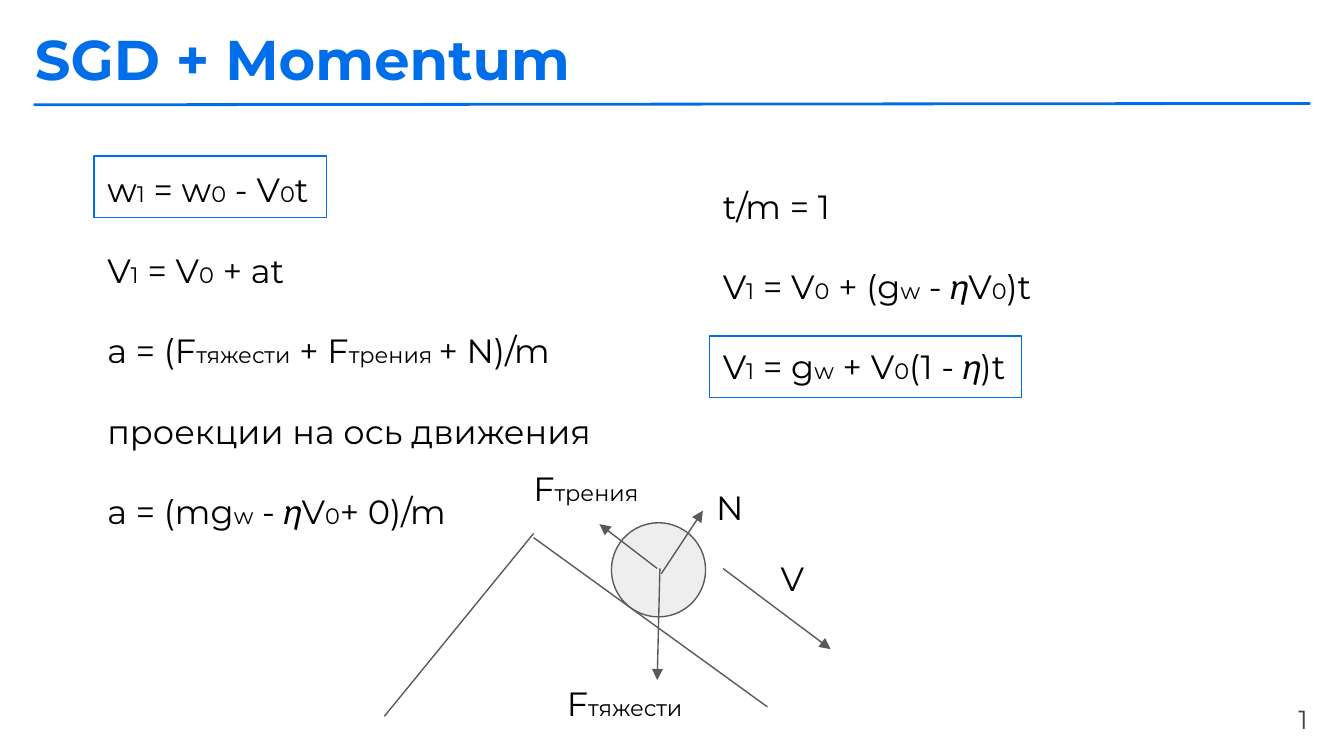
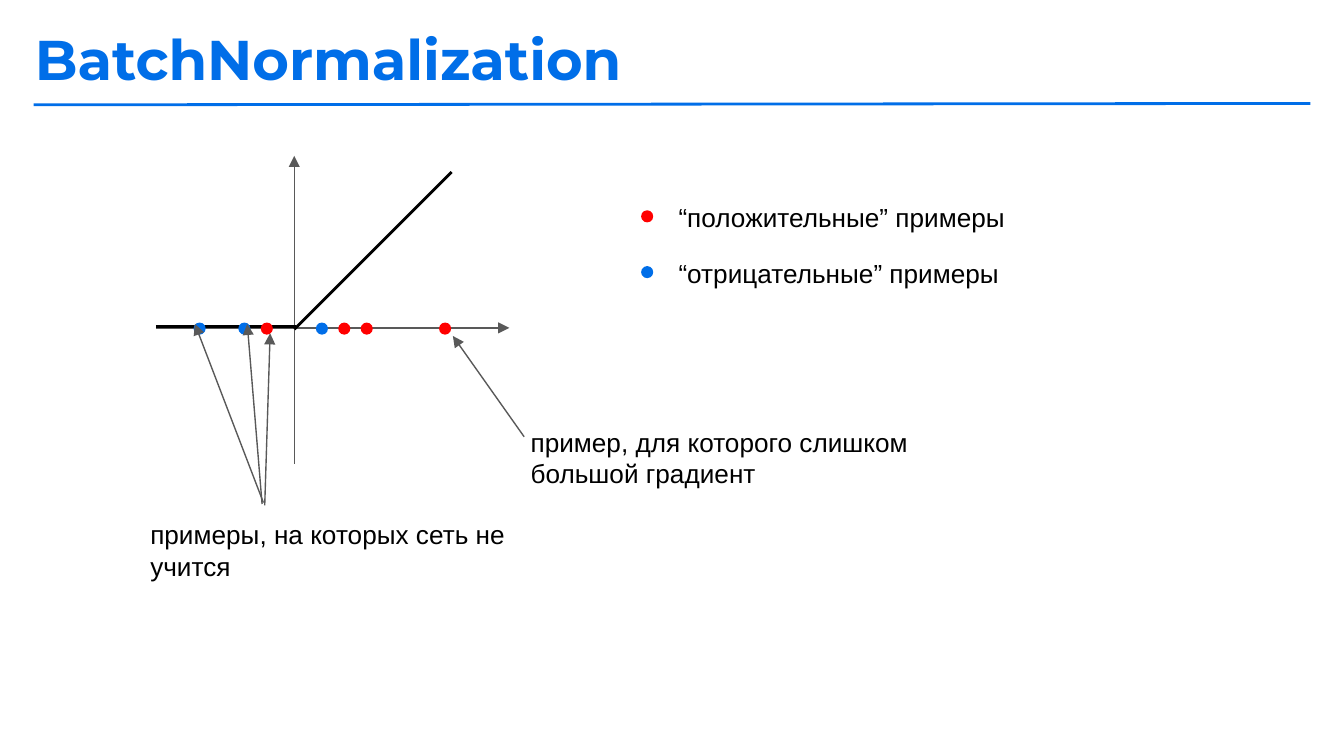
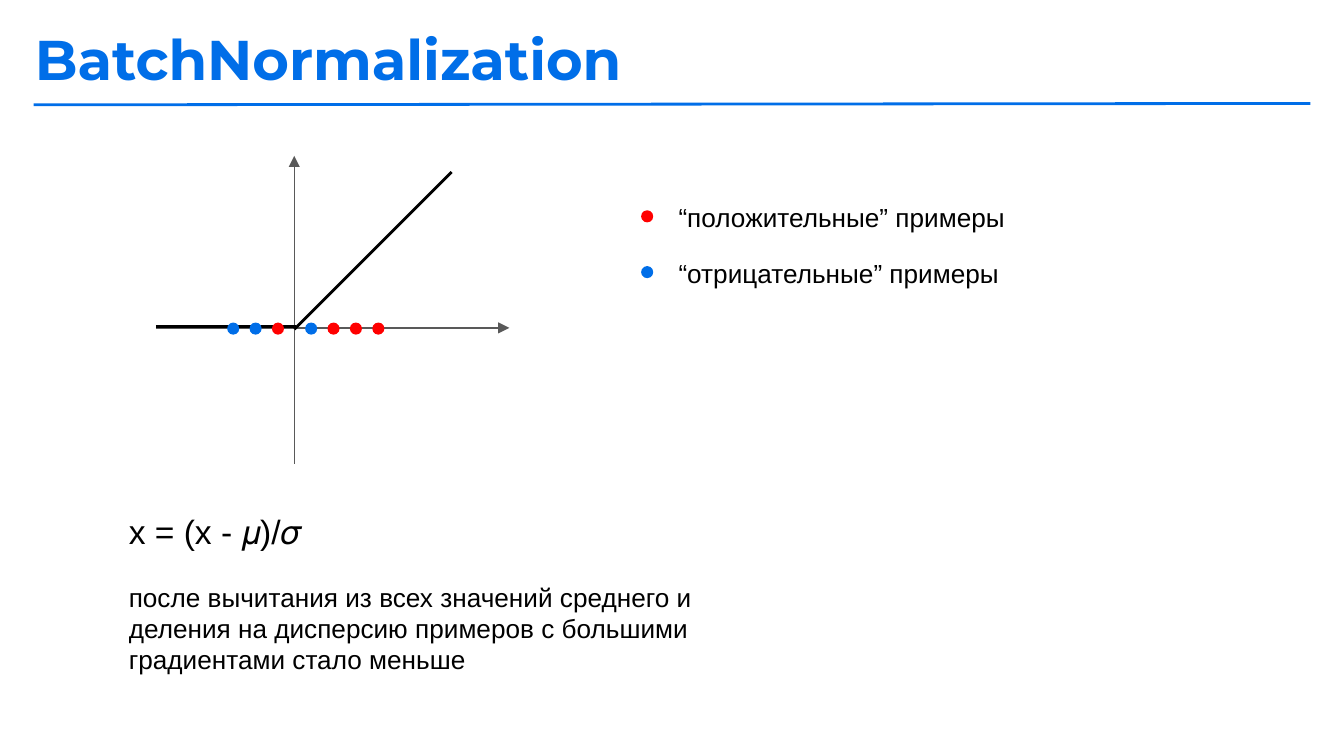
from typing import NamedTuple

from lxml import etree
from pptx import Presentation
from pptx.dml.color import RGBColor
from pptx.enum.shapes import MSO_CONNECTOR, MSO_SHAPE
from pptx.enum.text import MSO_ANCHOR, MSO_AUTO_SIZE, PP_ALIGN
from pptx.oxml.ns import qn
from pptx.util import Inches, Pt

STRAIGHT = MSO_CONNECTOR.STRAIGHT
RECTANGLE, OVAL = MSO_SHAPE.RECTANGLE, MSO_SHAPE.OVAL
LEFT, RIGHT = PP_ALIGN.LEFT, PP_ALIGN.RIGHT
TOP = MSO_ANCHOR.TOP
NO_AUTOSIZE = MSO_AUTO_SIZE.NONE

COLORS = {
    "accent": "006EE8",
    "text": "000000",
    "number": "434343",
    "ink": "595959",
    "ball": "EEEEEE",
    "positive": "FF0000",
}
HEADING_FONT, BODY_FONT = "Montserrat", "Arial"
TITLE_ONLY = 5

# The slide is a grid of square cells, 100 columns wide.
WIDTH, HEIGHT = Inches(10), Inches(5.625)
CELL = WIDTH / 100
DOT = 0.9
DOT_STEP = 5 / 3
DOT_ROW = 24


class Box(NamedTuple):
    left: float
    top: float
    width: float
    height: float


class Line(NamedTuple):
    x1: float
    y1: float
    x2: float
    y2: float
    color: str = "ink"
    weight: float = 0.75
    arrow: bool = False


class Text(NamedTuple):
    """Lines of text; parts in braces are set in the small size."""
    box: Box
    lines: tuple[str, ...]
    sizes: tuple[float, ...] = (18,)
    font: str = HEADING_FONT
    gap: float = 0
    color: str = "text"
    align: PP_ALIGN = LEFT


class DotGroup(NamedTuple):
    """Dots on the horizontal axis, counted in steps from a start column."""
    start: float
    color: str
    steps: tuple[float, ...]


TITLE_BOX = Box(1.6, 0.8, 75.1, 7)
TITLE_RULE = Line(2.5, 7.8, 97.5, 7.7, "accent", 1.5)
SUBSCRIPT_SIZE = 12
FORMULA_GAP = 21.5

FORMULAS = (
    Text(Box(7, 11.6, 39.4, 23.6), (
        "w{1} = w{0} - V{0}t",
        "V{1} = V{0} + at",
        "a = (F{тяжести} + F{трения }+ N)/m",
        "проекции на ось движения",
        "a = (mg{w} - 𝜂V{0}+ 0)/m",
    ), gap=FORMULA_GAP),
    Text(Box(52.8, 12.8, 28.7, 19), (
        "t/m = 1",
        "V{1} = V{0} + (g{w} - 𝜂V{0})t",
        "V{1} = g{w} + V{0}(1 - 𝜂)t",
    ), gap=FORMULA_GAP),
)
RESULT_FRAMES = (Box(7, 11.6, 17.3, 4.6), Box(52.8, 25, 23.2, 4.6))

SLOPES = (Line(28.6, 53.3, 39.7, 39.7), Line(39.7, 40, 57.1, 52.6))
BALL = Box(45.5, 38.9, 7, 7)
FORCES = (
    Line(53.8, 42.3, 61.8, 48.3, arrow=True),
    Line(49.2, 42.7, 52.3, 38, arrow=True),
    Line(49.1, 42.3, 48.9, 50.6, arrow=True),
    Line(48.9, 42.3, 44.6, 39, arrow=True),
)
FORCE_LABELS = (
    Text(Box(38.7, 33.8, 10.3, 6), ("F{трения}",)),
    Text(Box(41.2, 49.8, 11, 4.6), ("F{тяжести}",)),
    Text(Box(52.3, 35.2, 4.3, 4.6), ("N",)),
    Text(Box(57.1, 40.5, 4.3, 5.8), ("V",)),
)
PAGE_NUMBER = Text(Box(92.4, 51.3, 5.9, 3.9), ("1",), (14,),
                   color="number", align=RIGHT)

AXES = (Line(11.6, 24.4, 37.9, 24.4, arrow=True),
        Line(21.9, 34.5, 21.9, 11.6, arrow=True))
RELU = (Line(11.6, 24.3, 22, 24.3, "text", 1.5),
        Line(21.9, 24.5, 33.6, 12.8, "text", 1.5))
LEGEND = (("positive", "“положительные” примеры"),
          ("accent", "“отрицательные” примеры"))

DOTS_BEFORE = (
    DotGroup(14.4, "accent", (0, 2)),
    DotGroup(14.4, "positive", (3,)),
    DotGroup(23.5, "accent", (0,)),
    DotGroup(23.5, "positive", (1, 2, 5.5)),
)
DOTS_AFTER = (
    DotGroup(16.9, "accent", (0, 1)),
    DotGroup(16.9, "positive", (2,)),
    DotGroup(22.7, "accent", (0,)),
    DotGroup(22.7, "positive", (1, 2, 3)),
)
CALLOUTS = (
    Text(Box(38.5, 30.7, 34.3, 4.8),
         ("пример, для которого слишком большой градиент",), (14,), BODY_FONT),
    Text(Box(10.2, 37.6, 34.3, 4.8),
         ("примеры, на которых сеть не учится",), (14,), BODY_FONT),
)
POINTERS = (
    Line(39, 32.5, 33.7, 25, arrow=True),
    Line(19.7, 37.6, 20.1, 24.8, arrow=True),
    Line(19.5, 37.5, 18.4, 24.1, arrow=True),
    Line(19.6, 37.4, 14.5, 24.1, arrow=True),
)
NORMALIZATION = Text(Box(8.6, 37, 51.8, 5.1), (
    "x = (x - 𝜇)/𝜎",
    "после вычитания из всех значений среднего и деления на дисперсию "
    "примеров с большими градиентами стало меньше",
), (18, 14), BODY_FONT, gap=16)


def rgb(name: str) -> RGBColor:
    return RGBColor.from_string(COLORS[name])


def emu(*cells: float) -> list[int]:
    return [round(cell * CELL) for cell in cells]


def style_font(font, name: str, size: float, color: str) -> None:
    font.name = name
    font.size = Pt(size)
    font.color.rgb = rgb(color)


def fit_frame(frame) -> None:
    frame.word_wrap = True
    frame.auto_size = NO_AUTOSIZE
    frame.vertical_anchor = TOP
    frame.margin_left = frame.margin_right = Inches(0.1)
    frame.margin_top = frame.margin_bottom = Inches(0.1)


def draw_line(slide, line: Line) -> None:
    connector = slide.shapes.add_connector(STRAIGHT, *emu(*line[:4]))
    connector.line.color.rgb = rgb(line.color)
    connector.line.width = Pt(line.weight)
    properties = connector._element.spPr
    if line.arrow:
        stroke = properties.find(qn("a:ln"))
        etree.SubElement(stroke, qn("a:tailEnd"), type="triangle")
    etree.SubElement(properties, qn("a:effectLst"))


def draw_shape(slide, kind: MSO_SHAPE, box: Box, fill: str | None = None,
               outline: str | None = None) -> None:
    shape = slide.shapes.add_shape(kind, *emu(*box))
    shape.shadow.inherit = False
    if fill:
        shape.fill.solid()
        shape.fill.fore_color.rgb = rgb(fill)
    else:
        shape.fill.background()
    if outline:
        shape.line.color.rgb = rgb(outline)
        shape.line.width = Pt(0.75)
    else:
        shape.line.fill.background()


def draw_text(slide, text: Text) -> None:
    frame = slide.shapes.add_textbox(*emu(*text.box)).text_frame
    fit_frame(frame)
    for index, line in enumerate(text.lines):
        paragraph = frame.add_paragraph() if index else frame.paragraphs[0]
        paragraph.alignment = text.align
        if index:
            paragraph.space_before = Pt(text.gap)
        size = text.sizes[min(index, len(text.sizes) - 1)]
        for position, part in enumerate(line.replace("}", "{").split("{")):
            if part:
                run = paragraph.add_run()
                run.text = part
                part_size = SUBSCRIPT_SIZE if position % 2 else size
                style_font(run.font, text.font, part_size, text.color)


def add_titled_slide(deck, heading: str):
    slide = deck.slides.add_slide(deck.slide_layouts[TITLE_ONLY])
    title = slide.shapes.title
    title.left, title.top, title.width, title.height = emu(*TITLE_BOX)
    title.text_frame.text = heading
    fit_frame(title.text_frame)
    paragraph = title.text_frame.paragraphs[0]
    paragraph.alignment = LEFT
    font = paragraph.runs[0].font
    style_font(font, HEADING_FONT, 30, "accent")
    font.bold = True
    draw_line(slide, TITLE_RULE)
    return slide


def draw_activation_plot(slide, groups: tuple[DotGroup, ...]) -> None:
    """Draw the axes, the ReLU curve, the example dots and the legend."""
    for line in AXES + RELU:
        draw_line(slide, line)
    for group in groups:
        for step in group.steps:
            left = group.start + step * DOT_STEP
            draw_shape(slide, OVAL, Box(left, DOT_ROW, DOT, DOT), group.color)
    for row, (color, label) in enumerate(LEGEND):
        top = 14 + 4.15 * row
        draw_shape(slide, OVAL, Box(47.7, top + 1.65, DOT, DOT), color)
        draw_text(slide, Text(Box(49.5, top, 38.5, 4.1), (label,), (14,),
                              BODY_FONT))


def build_momentum(deck) -> None:
    slide = add_titled_slide(deck, "SGD + Momentum")
    for formula in FORMULAS:
        draw_text(slide, formula)
    for frame in RESULT_FRAMES:
        draw_shape(slide, RECTANGLE, frame, outline="accent")
    for slope in SLOPES:
        draw_line(slide, slope)
    draw_shape(slide, OVAL, BALL, "ball", "ink")
    for force in FORCES:
        draw_line(slide, force)
    for label in FORCE_LABELS + (PAGE_NUMBER,):
        draw_text(slide, label)


def build_before_normalization(deck) -> None:
    slide = add_titled_slide(deck, "BatchNormalization")
    draw_activation_plot(slide, DOTS_BEFORE)
    for callout in CALLOUTS:
        draw_text(slide, callout)
    for pointer in POINTERS:
        draw_line(slide, pointer)


def build_after_normalization(deck) -> None:
    slide = add_titled_slide(deck, "BatchNormalization")
    draw_activation_plot(slide, DOTS_AFTER)
    draw_text(slide, NORMALIZATION)


def main() -> None:
    deck = Presentation()
    deck.slide_width, deck.slide_height = WIDTH, HEIGHT
    build_momentum(deck)
    build_before_normalization(deck)
    build_after_normalization(deck)
    deck.save("out.pptx")


if __name__ == "__main__":
    main()
